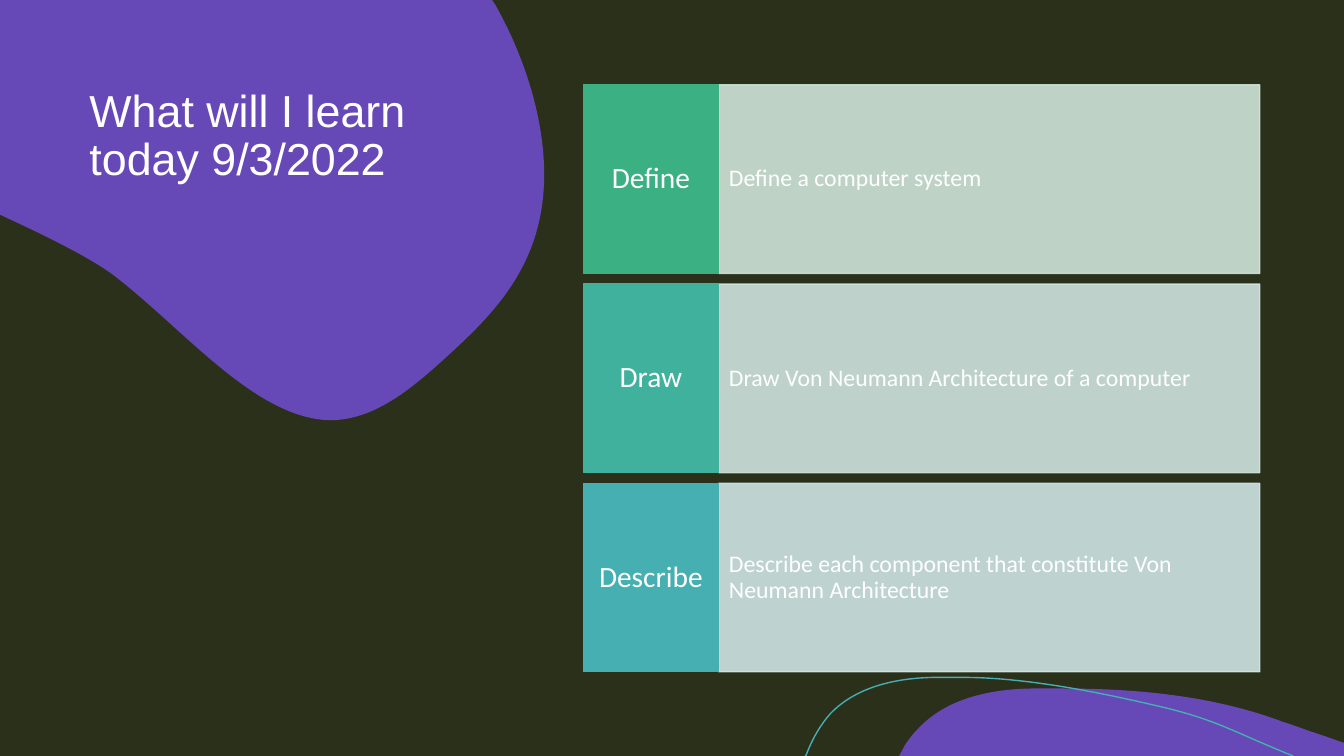
from lxml.etree import SubElement
from pptx import Presentation
from pptx.dml.color import RGBColor
from pptx.enum.shapes import MSO_SHAPE
from pptx.enum.text import MSO_ANCHOR, MSO_AUTO_SIZE, PP_ALIGN
from pptx.oxml.ns import qn
from pptx.util import Cm, Pt

COLOURS = {
    "ground": "2B301B", "purple": "6648B6", "white": "FFFFFF", "curve": "45AFB1",
    "green": "3BB183", "pale green": "CEE4D9",
    "teal": "40B19C", "pale teal": "CFE4DF",
    "blue": "45AFB1", "pale blue": "CFE4E4",
}
TITLE = "What will I learn today 9/3/2022"
GOALS = [
    ("Define", "Define a computer system", "green"),
    ("Draw", "Draw Von Neumann Architecture of a computer", "teal"),
    ("Describe", "Describe each component that constitute Von Neumann Architecture", "blue"),
]
TOP_BLOB = [
    [(0, 0)], [(12.4, 0)], [(12.47, 0.1)],
    [(13.28, 1.52), (13.84, 3.33), (13.69, 4.93)],
    [(13.51, 6.86), (12.34, 8), (11.28, 8.97)],
    [(10.39, 9.78), (9.45, 10.59), (8.31, 10.59)],
    [(6.4, 10.54), (4.62, 8.26), (2.79, 6.88)],
    [(2.24, 6.5), (1.55, 6.15), (0.81, 5.79)],
    [(0, 5.41)], [(0, 0)],
]
BOTTOM_BLOB = [
    [(26.77, 17.35)],
    [(28.65, 17.35), (30.58, 17.53), (32.33, 18.19)],
    [(32.66, 18.29), (32.97, 18.42), (33.3, 18.52)],
    [(33.87, 18.72)], [(33.87, 19.05)], [(22.66, 19.05)], [(22.81, 18.77)],
    [(22.91, 18.62), (23.01, 18.49), (23.14, 18.36)],
    [(23.85, 17.6), (24.94, 17.37), (25.98, 17.35)],
    [(26.24, 17.35), (26.49, 17.35), (26.77, 17.35)],
]
BOTTOM_CURVE = [
    [(20.29, 19.05)], [(20.32, 19.02)],
    [(20.47, 18.62), (20.68, 18.26), (20.93, 17.98)],
    [(21.59, 17.3), (22.58, 17.09), (23.52, 17.07)],
    [(24.26, 17.07)],
    [(25.96, 17.07), (27.94, 17.5), (29.34, 17.83)],
    [(30.71, 18.16), (31.14, 18.47), (32.59, 19.05)],
]
PAGE_WIDTH, PAGE_HEIGHT = 33.87, 19.05
CARD_LEFT, CARD_TOP, CARD_HEIGHT, CARD_PITCH = 14.7, 2.14, 4.75, 5.02
LABEL_WIDTH, DETAIL_WIDTH = 3.41, 13.64


def colour(name):
    return RGBColor.from_string(COLOURS[name])


def paint(shape, fill):
    shape.shadow.inherit = False
    shape.fill.solid()
    shape.fill.fore_color.rgb = colour(fill)
    shape.line.fill.background()


def add_outline(page, steps, closed):
    ends = [(Cm(step[-1][0]), Cm(step[-1][1])) for step in steps]
    builder = page.shapes.build_freeform(*ends[0])
    builder.add_line_segments(ends[1:], close=closed)
    shape = builder.convert_to_shape()
    segments = shape.element.findall(".//" + qn("a:lnTo"))
    for segment, step in zip(segments, steps[1:]):
        if len(step) == 3:
            bend(segment, step[:2], shape.left, shape.top)
    return shape


def bend(segment, handles, left, top):
    segment.tag = qn("a:cubicBezTo")
    end = segment[0]
    for x, y in handles:
        SubElement(segment, qn("a:pt"), x=str(Cm(x) - left), y=str(Cm(y) - top))
    segment.append(end)


def write(box, text, size, font_name, align):
    para = box.text_frame.paragraphs[0]
    para.alignment = align
    para.line_spacing = 0.9
    span = para.add_run()
    span.text = text
    span.font.size = Pt(size)
    span.font.name = font_name
    span.font.color.rgb = colour("white")


def add_panel(page, left, top, width, text, size, fill, align, insets):
    box = page.shapes.add_shape(
        MSO_SHAPE.RECTANGLE, Cm(left), Cm(top), Cm(width), Cm(CARD_HEIGHT))
    paint(box, fill)
    box.line.color.rgb = colour(fill)
    box.line.width = Pt(1)
    frame = box.text_frame
    frame.word_wrap = True
    frame.vertical_anchor = MSO_ANCHOR.MIDDLE
    frame.margin_left = frame.margin_right = Cm(insets[0])
    frame.margin_top = frame.margin_bottom = Cm(insets[1])
    write(box, text, size, "Calibri", align)
    return box


def soften(box):
    properties = box.element.spPr
    for owner in (properties, properties.find(qn("a:ln"))):
        SubElement(owner.find(qn("a:solidFill"))[0], qn("a:alpha"), val="90000")


def main():
    deck = Presentation()
    deck.slide_width, deck.slide_height = Cm(PAGE_WIDTH), Cm(PAGE_HEIGHT)
    page = deck.slides.add_slide(deck.slide_layouts[5])
    page.background.fill.solid()
    page.background.fill.fore_color.rgb = colour("ground")

    title = page.shapes.title
    title.left, title.top, title.width, title.height = Cm(2), Cm(2.1), Cm(10.7), Cm(6.35)
    title.text_frame.word_wrap = True
    title.text_frame.auto_size = MSO_AUTO_SIZE.NONE
    title.text_frame.vertical_anchor = MSO_ANCHOR.TOP
    write(title, TITLE, 32, "Arial", PP_ALIGN.LEFT)

    backdrop = page.shapes.add_shape(
        MSO_SHAPE.RECTANGLE, Cm(0), Cm(0), Cm(PAGE_WIDTH), Cm(PAGE_HEIGHT))
    paint(backdrop, "ground")
    top_blob = add_outline(page, TOP_BLOB, True)
    paint(top_blob, "purple")
    for shape in (backdrop, top_blob):
        title.element.addprevious(shape.element)

    paint(add_outline(page, BOTTOM_BLOB, True), "purple")
    curve = add_outline(page, BOTTOM_CURVE, False)
    curve.shadow.inherit = False
    curve.fill.background()
    curve.line.color.rgb = colour("curve")
    curve.line.width = Pt(1)

    for row, (label, detail, shade) in enumerate(GOALS):
        top = CARD_TOP + row * CARD_PITCH
        panel = add_panel(page, CARD_LEFT + LABEL_WIDTH, top, DETAIL_WIDTH, detail, 17,
                          "pale " + shade, PP_ALIGN.LEFT, (0.26, 1.2))
        soften(panel)
        add_panel(page, CARD_LEFT, top, LABEL_WIDTH, label, 21,
                  shade, PP_ALIGN.CENTER, (0.18, 0.46))

    deck.save("out.pptx")


if __name__ == "__main__":
    main()
